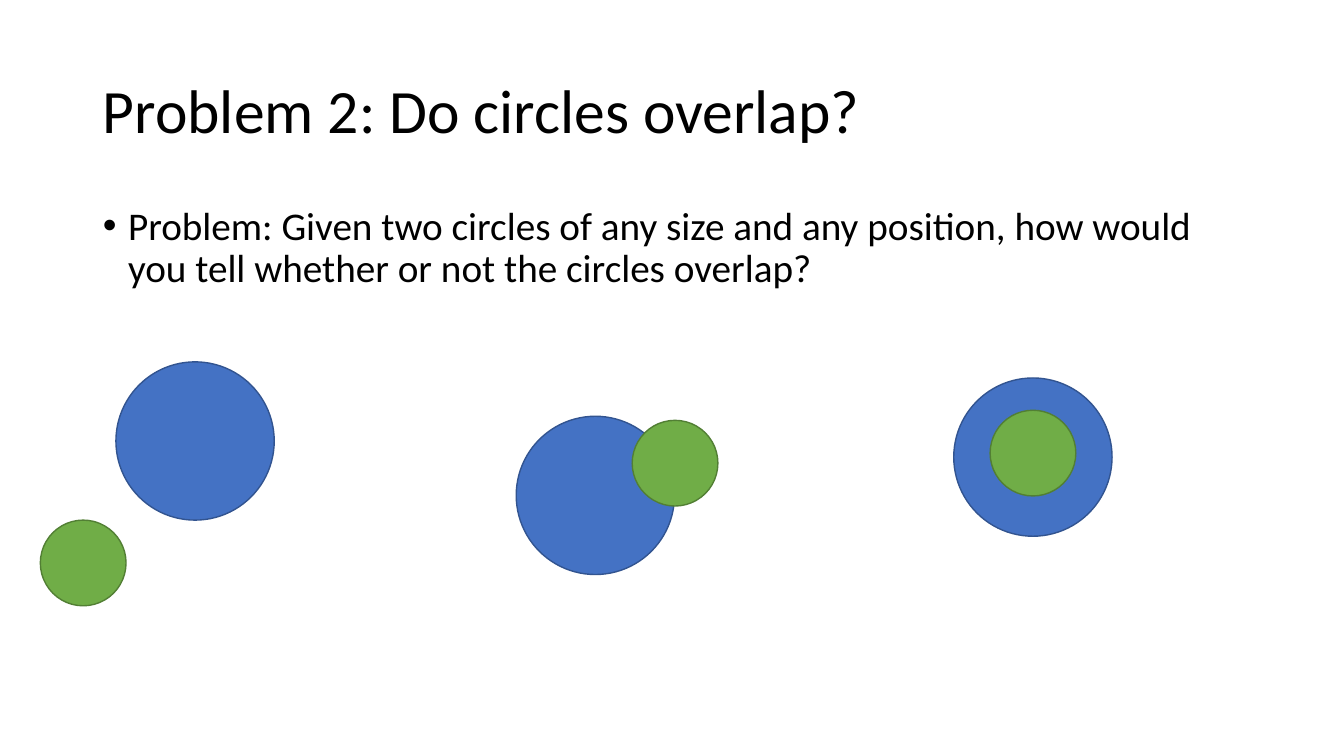
"""Build the slide on whether two circles overlap."""
from pptx import Presentation
from pptx.dml.color import RGBColor
from pptx.enum.shapes import MSO_SHAPE
from pptx.enum.text import MSO_ANCHOR, MSO_AUTO_SIZE, PP_ALIGN
from pptx.util import Inches, Pt

OVAL = MSO_SHAPE.OVAL
LEFT = PP_ALIGN.LEFT
TOP, MIDDLE = MSO_ANCHOR.TOP, MSO_ANCHOR.MIDDLE
NO_FIT = MSO_AUTO_SIZE.NONE

TITLE = "Problem 2: Do circles overlap?"
PROBLEM = ("Problem: Given two circles of any size and any position, "
           "how would you tell whether or not the circles overlap?")
BLUE = (1.57, "4472C4", "325490")
GREEN = (0.85, "70AD47", "527F34")
CIRCLE_PAIRS = [
    ((1.15, 3.59), (0.4, 5.16)),
    ((5.12, 4.13), (6.27, 4.17)),
    ((9.46, 3.75), (9.82, 4.07)),
]


def color(value):
    return RGBColor.from_string(value)


def fill_placeholder(sp, text, box, size, anchor, space_before):
    sp.left, sp.top, sp.width, sp.height = map(Inches, box)
    tf = sp.text_frame
    tf.text = text
    tf.word_wrap = True
    tf.auto_size = NO_FIT
    tf.vertical_anchor = anchor
    p = tf.paragraphs[0]
    p.alignment = LEFT
    p.line_spacing = 0.9
    p.space_before = Pt(space_before)
    p.font.name = "Calibri"
    p.font.size = Pt(size)
    p.font.color.rgb = color("000000")
    return p


def add_circle(s, position, style):
    diameter, fill, line = style
    left, top = map(Inches, position)
    sp = s.shapes.add_shape(OVAL, left, top, Inches(diameter), Inches(diameter))
    sp.shadow.inherit = False
    sp.fill.solid()
    sp.fill.fore_color.rgb = color(fill)
    sp.line.color.rgb = color(line)
    sp.line.width = Pt(1)


def main():
    prs = Presentation()
    prs.slide_width, prs.slide_height = Inches(13.33), Inches(7.5)
    s = prs.slides.add_slide(prs.slide_layouts[1])
    title, body = s.placeholders
    fill_placeholder(title, TITLE, (0.92, 0.4, 11.5, 1.45), 44, MIDDLE, 0)
    p = fill_placeholder(body, PROBLEM, (0.92, 2, 11.5, 4.76), 28, TOP, 10)
    pPr = p._p.get_or_add_pPr()
    pPr.set("marL", str(Inches(0.25)))
    pPr.set("indent", str(-Inches(0.25)))
    for pair in CIRCLE_PAIRS:
        for position, style in zip(pair, (BLUE, GREEN)):
            add_circle(s, position, style)
    prs.save("out.pptx")


if __name__ == "__main__":
    main()
